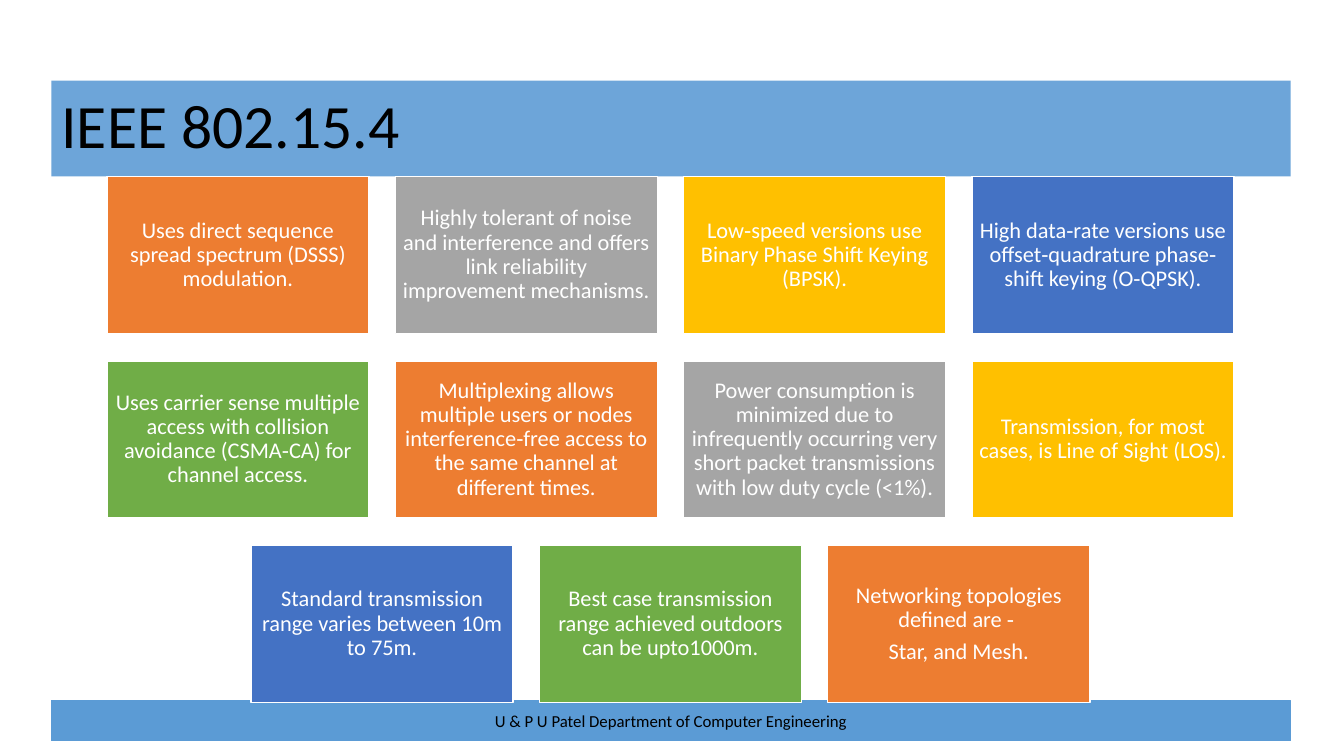
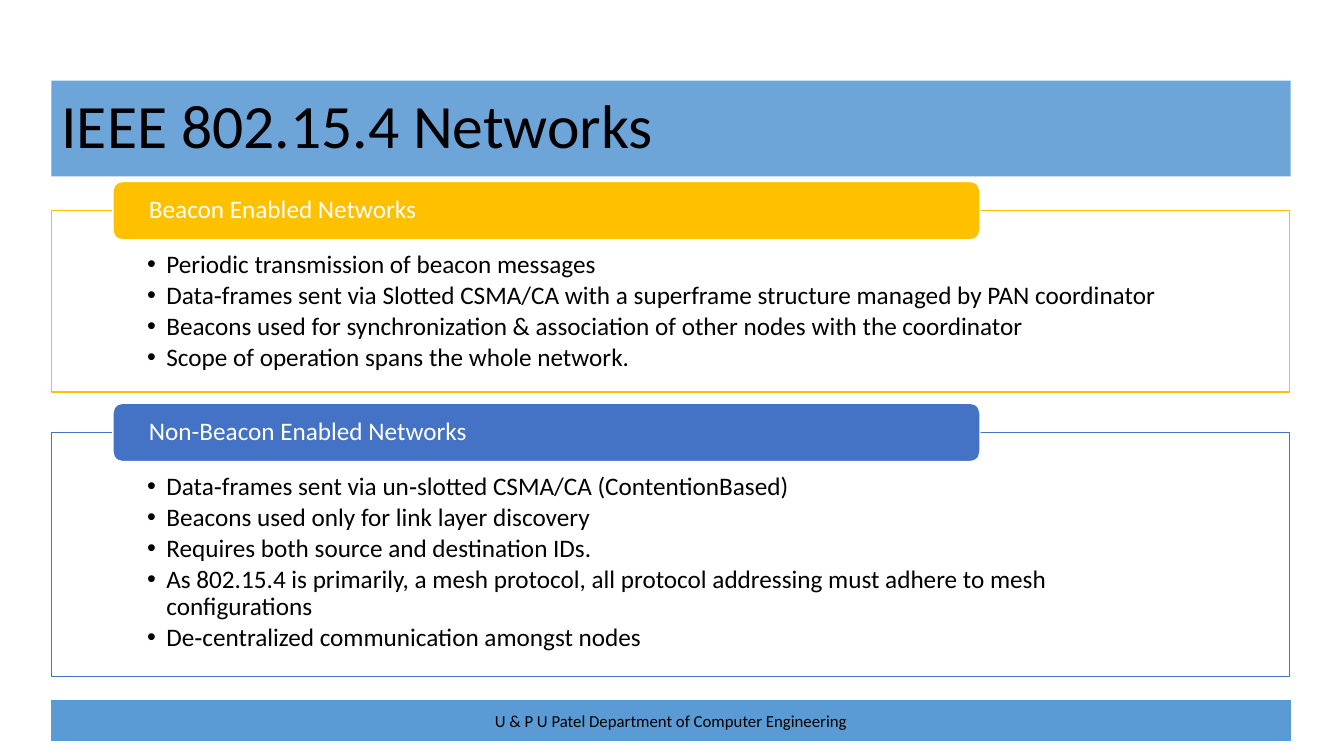
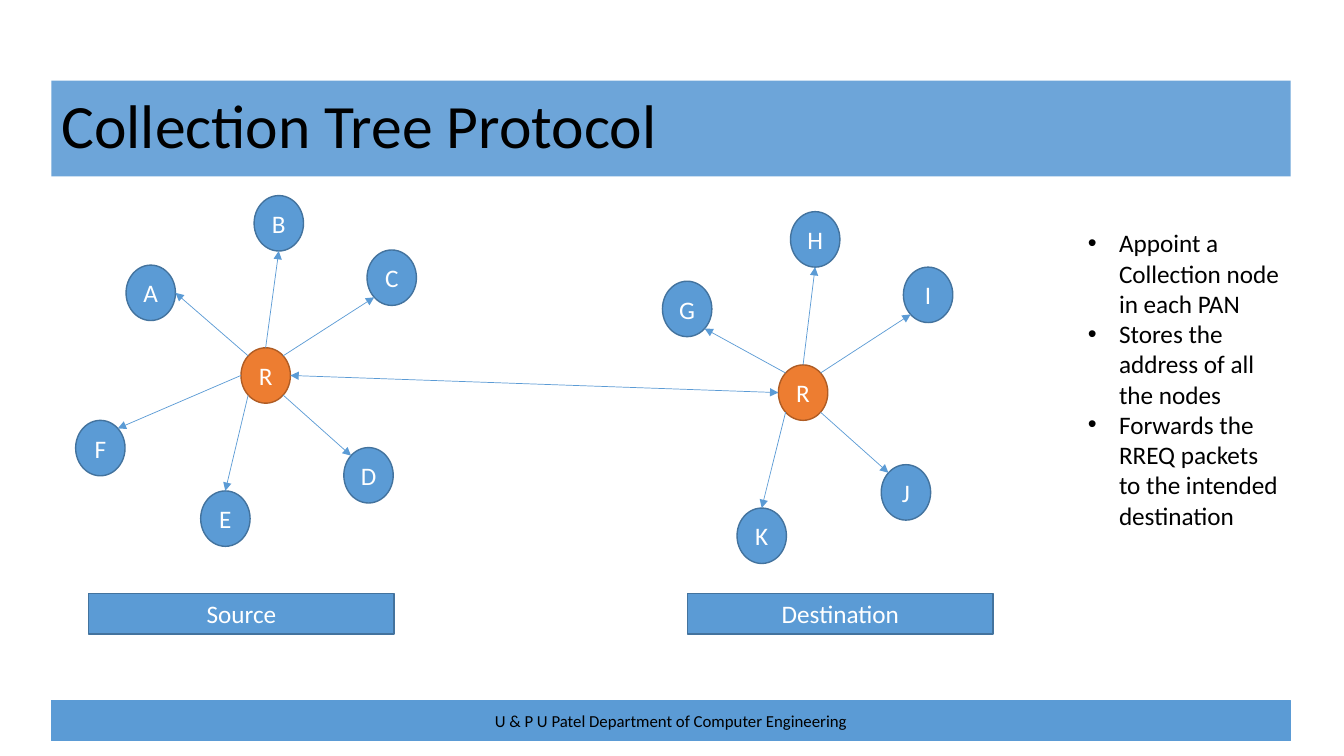
import math

import pptx
import pptx.dml.color
import pptx.enum.shapes
import pptx.enum.text
import pptx.oxml
import pptx.oxml.ns
import pptx.util

SCALE = 9144  # EMU per px, 100 px to the inch
COLOURS = {
    "sky": "5B9BD5", "sky_edge": "43739E", "orange": "ED7D31", "orange_edge": "AF5C24",
    "grey": "A5A5A5", "yellow": "FFC000", "blue": "4472C4", "green": "70AD47",
    "white": "FFFFFF", "black": "000000",
}
ALIGN = pptx.enum.text.PP_ALIGN
ANCHOR = pptx.enum.text.MSO_ANCHOR
SHAPES = pptx.enum.shapes.MSO_SHAPE
Pt = pptx.util.Pt

# Text styles: insets are left, top, right, bottom in px; indent is in px
STYLES = {
    "title": dict(size=44, colour="black", anchor=ANCHOR.MIDDLE, insets=(10, 5, 10, 5),
                  paragraph=dict(alignment=ALIGN.LEFT, line_spacing=0.9)),
    "footer": dict(size=12, colour="black", anchor=ANCHOR.MIDDLE, insets=(10, 5, 10, 5),
                   paragraph=dict(alignment=ALIGN.CENTER)),
    "card": dict(size=16, colour="white", anchor=ANCHOR.MIDDLE, insets=(7, 7, 7, 7),
                 paragraph=dict(alignment=ALIGN.CENTER, line_spacing=0.9, space_after=Pt(5.6))),
    "panel": dict(size=18, colour="black", anchor=ANCHOR.TOP, insets=(95, 41, 95, 14), indent=19,
                  paragraph=dict(alignment=ALIGN.LEFT, line_spacing=0.9, space_after=Pt(2.7))),
    "heading": dict(size=18, colour="white", anchor=ANCHOR.MIDDLE, insets=(33, 0, 33, 0),
                    paragraph=dict(alignment=ALIGN.LEFT, line_spacing=0.9)),
    "label": dict(size=18, colour="white", anchor=ANCHOR.MIDDLE, insets=(0, 0, 0, 0),
                  paragraph=dict(alignment=ALIGN.CENTER)),
    "notes": dict(size=18, colour="black", anchor=ANCHOR.TOP, insets=(10, 5, 10, 5), indent=31,
                  paragraph=dict(alignment=ALIGN.LEFT)),
}
FOOTER = "U & P U Patel Department of Computer Engineering"
MARGIN, BAND_WIDTH = 51, 1229


def px(value):
    return pptx.util.Emu(round(value * SCALE))


def rgb(name):
    return pptx.dml.color.RGBColor.from_string(COLOURS[name])


def add_xml(parent, tag, **attributes):
    element = pptx.oxml.parse_xml(f"<a:{tag} {pptx.oxml.ns.nsdecls('a')}/>")
    for name, value in attributes.items():
        element.set(name, str(value))
    parent.append(element)


class Deck:
    def __init__(self):
        self.presentation = pptx.Presentation()
        self.presentation.slide_width = px(1333)
        self.presentation.slide_height = px(750)
        self.slide = None

    def new_slide(self, title):
        """Start a slide with the shared footer and title bands."""
        self.slide = self.presentation.slides.add_slide(self.presentation.slide_layouts[5])
        self.box((MARGIN, 695, BAND_WIDTH, 40), "sky", "sky", [FOOTER], "footer", line_width=0.75)
        band = self.slide.shapes.title
        band.left, band.top, band.width, band.height = map(px, (MARGIN, 80, BAND_WIDTH, 95))
        self.fill(band, "sky", opacity=89)
        self.set_text(band, [title], "title")
        # The title lies above the footer
        self.slide.shapes.element.append(band.element)

    def fill(self, shape, colour, opacity=100):
        shape.fill.solid()
        shape.fill.fore_color.rgb = rgb(colour)
        if opacity < 100:
            solid = shape.element.spPr.find(pptx.oxml.ns.qn("a:solidFill"))
            add_xml(solid[0], "alpha", val=opacity * 1000)

    def set_text(self, shape, lines, style_name):
        style = STYLES[style_name]
        frame = shape.text_frame
        frame_format = dict(zip(("margin_left", "margin_top", "margin_right", "margin_bottom"),
                                map(px, style["insets"])))
        frame_format.update(word_wrap=True, vertical_anchor=style["anchor"],
                            auto_size=pptx.enum.text.MSO_AUTO_SIZE.NONE)
        for name, value in frame_format.items():
            setattr(frame, name, value)
        for number, line in enumerate(lines):
            paragraph = frame.add_paragraph() if number else frame.paragraphs[0]
            if "indent" in style:
                self.bullet(paragraph, style["indent"])
            for name, value in style["paragraph"].items():
                setattr(paragraph, name, value)
            run = paragraph.add_run()
            run.text = line
            for name, value in dict(name="Calibri", size=Pt(style["size"])).items():
                setattr(run.font, name, value)
            run.font.color.rgb = rgb(style["colour"])

    def bullet(self, paragraph, indent):
        properties = paragraph._p.get_or_add_pPr()
        properties.set("marL", str(px(indent)))
        properties.set("indent", str(-px(indent)))
        add_xml(properties, "buFont", typeface="Arial")
        add_xml(properties, "buChar", char="•")

    def box(self, place, fill, line, lines, style, kind=SHAPES.RECTANGLE, line_width=1, opacity=100):
        shape = self.slide.shapes.add_shape(kind, *map(px, place))
        shape.shadow.inherit = False
        self.fill(shape, fill, opacity)
        shape.line.color.rgb = rgb(line)
        shape.line.width = Pt(line_width)
        self.set_text(shape, lines, style)
        return shape

    def text(self, place, lines, style):
        self.set_text(self.slide.shapes.add_textbox(*map(px, place)), lines, style)

    def node(self, letter, left, top, colour="sky"):
        return self.box((left, top, 49, 55), colour, colour + "_edge", [letter], "label", SHAPES.OVAL)

    def arrow(self, start, start_side, end, end_side, both_ends=False):
        """Join two ovals at the given compass points."""
        points = (*self.rim(start, start_side), *self.rim(end, end_side))
        connector = self.slide.shapes.add_connector(
            pptx.enum.shapes.MSO_CONNECTOR.STRAIGHT, *map(pptx.util.Emu, points))
        connector.line.color.rgb = rgb("sky")
        connector.line.width = Pt(0.5)
        outline = connector.element.spPr.find(pptx.oxml.ns.qn("a:ln"))
        if both_ends:
            add_xml(outline, "headEnd", type="triangle")
        add_xml(outline, "tailEnd", type="triangle")
        add_xml(connector.element.spPr, "effectLst")

    @staticmethod
    def rim(oval, side):
        angle = math.radians(45 * ("E", "SE", "S", "SW", "W", "NW", "N", "NE").index(side))
        return (round(oval.left + oval.width / 2 * (1 + math.cos(angle))),
                round(oval.top + oval.height / 2 * (1 + math.sin(angle))))


def build_features(deck):
    deck.new_slide("IEEE 802.15.4")
    rows = [
        [["Uses direct sequence spread spectrum (DSSS) modulation."],
         ["Highly tolerant of noise and interference and offers link reliability "
          "improvement mechanisms."],
         ["Low‐speed versions use Binary Phase Shift Keying (BPSK)."],
         ["High data‐rate versions use offset‐quadrature phase‐shift keying (O‐QPSK)."]],
        [["Uses carrier sense multiple access with collision avoidance (CSMA‐CA) for channel access."],
         ["Multiplexing allows multiple users or nodes interference‐free access to the same "
          "channel at different times."],
         ["Power consumption is minimized due to infrequently occurring very short packet "
          "transmissions with low duty cycle (<1%)."],
         ["Transmission, for most cases, is Line of Sight (LOS)."]],
        [["Standard transmission range varies between 10m to 75m."],
         ["Best case transmission range achieved outdoors can be upto1000m."],
         ["Networking topologies defined are ‐ ", "Star, and Mesh."]],
    ]
    palette = ("orange", "grey", "yellow", "blue", "green")
    width, height, gap, row_pitch = 260, 156, 26, 183
    card_number = 0
    for row_number, row in enumerate(rows):
        # Each row is centred as a whole
        left = (1331 - len(row) * (width + gap) + gap) // 2
        for column, lines in enumerate(row):
            place = (left + column * (width + gap), 175 + row_number * row_pitch, width, height)
            deck.box(place, palette[card_number % len(palette)], "white", lines, "card")
            card_number += 1


def build_networks(deck):
    deck.new_slide("IEEE 802.15.4 Networks")
    panels = [
        ("Beacon Enabled Networks", "yellow", 180, 180, [
            "Periodic transmission of beacon messages",
            "Data‐frames sent via Slotted CSMA/CA with a superframe structure managed by PAN coordinator",
            "Beacons used for synchronization & association of other nodes with the coordinator",
            "Scope of operation spans the whole network."]),
        ("Non-Beacon Enabled Networks", "blue", 400, 242, [
            "Data‐frames sent via un‐slotted CSMA/CA (ContentionBased)",
            "Beacons used only for link layer discovery",
            "Requires both source and destination IDs.",
            "As 802.15.4 is primarily, a mesh protocol, all protocol addressing must adhere to "
            "mesh configurations",
            "De‐centralized communication amongst nodes"]),
    ]
    for heading, colour, top, height, points in panels:
        deck.box((MARGIN, top + 29, BAND_WIDTH - 1, height), "white", colour, points, "panel", opacity=90)
        deck.box((112, top, 860, 58), colour, "white", [heading], "heading", SHAPES.ROUNDED_RECTANGLE)


def build_collection_tree(deck):
    deck.new_slide("Collection Tree Protocol")
    # Hub place, then each leaf: letter, left, top, side of hub, side of leaf
    trees = [
        ((239, 345), [("A", 125, 263, "NW", "E"), ("B", 252, 194, "N", "S"),
                      ("C", 364, 248, "NE", "SW"), ("D", 341, 444, "SE", "NW"),
                      ("E", 199, 487, "SW", "N"), ("F", 75, 417, "W", "NE")]),
        ((772, 362), [("G", 657, 279, "NW", "SE"), ("H", 784, 210, "N", "S"),
                      ("I", 896, 265, "NE", "SW"), ("J", 874, 461, "SE", "NW"),
                      ("K", 731, 504, "SW", "N")]),
    ]
    hubs = []
    for hub_place, leaves in trees:
        hub = deck.node("R", *hub_place, colour="orange")
        hubs.append(hub)
        for letter, left, top, hub_side, leaf_side in leaves:
            leaf = deck.node(letter, left, top)
            deck.arrow(hub, hub_side, leaf, leaf_side)
    deck.arrow(hubs[0], "E", hubs[1], "W", both_ends=True)

    # Names of the two trees
    for name, left in (("Source", 88), ("Destination", 682)):
        deck.box((left, 589, 303, 40), "sky", "sky_edge", [name], "label")

    deck.text((1069, 221, 211, 313), [
        "Appoint a Collection node in each PAN",
        "Stores the address of all the nodes",
        "Forwards the RREQ packets to the intended destination"], "notes")


def main():
    deck = Deck()
    build_features(deck)
    build_networks(deck)
    build_collection_tree(deck)
    deck.presentation.save("out.pptx")


if __name__ == "__main__":
    main()
